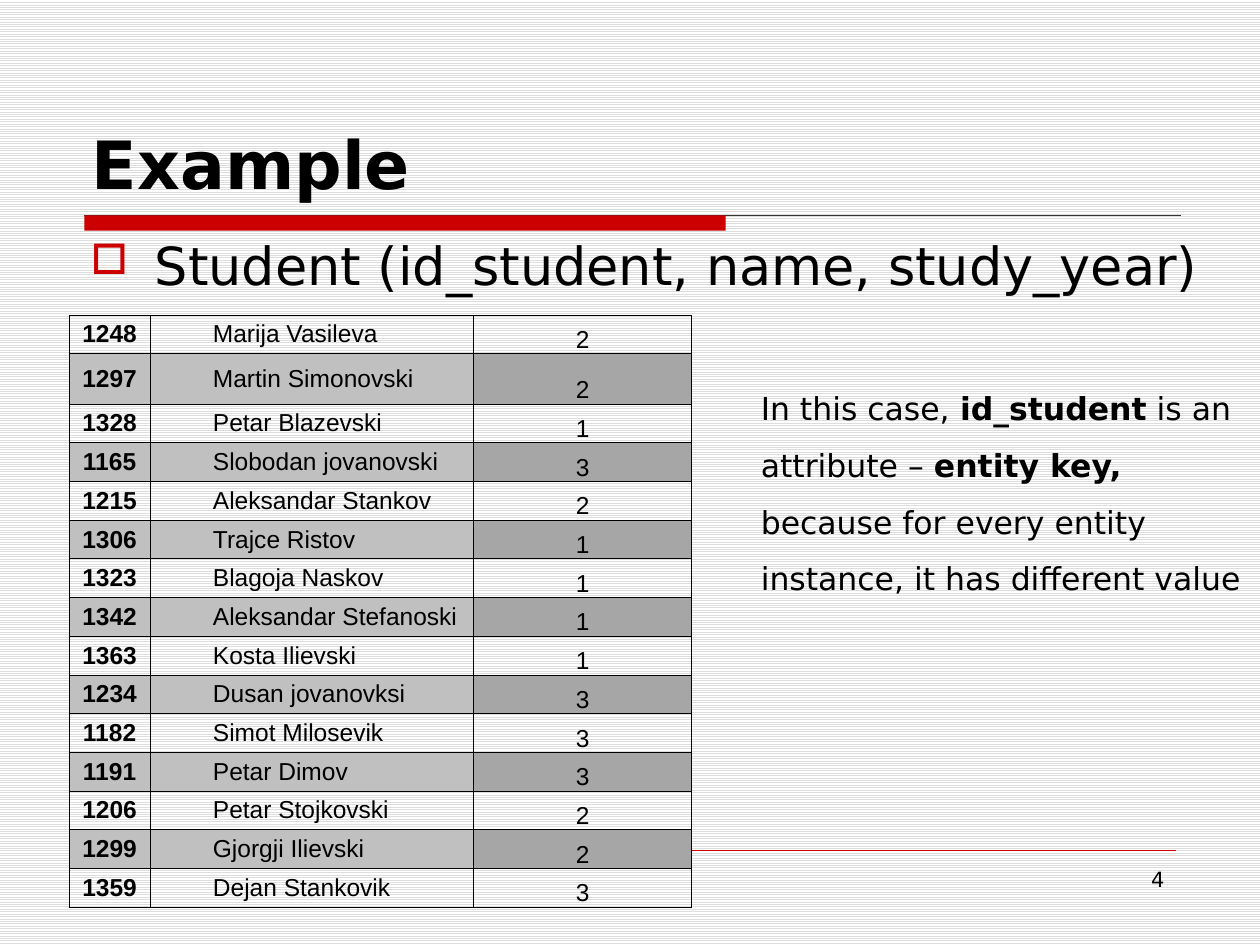
from dataclasses import dataclass

import lxml.etree
import pptx
import pptx.dml.color
import pptx.enum.dml
import pptx.enum.shapes
import pptx.enum.text
import pptx.oxml.ns
import pptx.util

Inches = pptx.util.Inches
Pt = pptx.util.Pt
ALIGN = pptx.enum.text.PP_ALIGN
ANCHOR = pptx.enum.text.MSO_ANCHOR


@dataclass(frozen=True)
class Theme:
    text: str = "000000"
    accent: str = "CC0000"
    thin_rule: str = "333333"
    paper: str = "FFFFFF"
    stripe: str = "DDDDDD"
    band: str = "C0C0C0"
    band_dark: str = "A6A6A6"
    font: str = "DejaVu Sans"
    table_font: str = "Arial"
    title_size: int = 38
    body_size: int = 30
    note_size: int = 18
    table_size: int = 14
    number_size: int = 12


def rgb(value):
    return pptx.dml.color.RGBColor.from_string(value)


def add_xml(parent, tag, **attributes):
    return lxml.etree.SubElement(parent, pptx.oxml.ns.qn(tag), attributes)


def write(para, text, *, font, size, color, bold=False, align=ALIGN.LEFT):
    """Add one formatted span of text to a paragraph."""
    para.alignment = align
    span = para.add_run()
    span.text = text
    span.font.name = font
    span.font.size = Pt(size)
    span.font.bold = bold
    span.font.color.rgb = rgb(color)


class SlideBuilder:
    def __init__(self, deck, theme):
        self.theme = theme
        self.slide = deck.slides.add_slide(deck.slide_layouts[5])
        fill = self.slide.background.fill
        fill.patterned()
        fill.pattern = pptx.enum.dml.MSO_PATTERN.LIGHT_HORIZONTAL
        fill.fore_color.rgb = rgb(theme.stripe)
        fill.back_color.rgb = rgb(theme.paper)

    def title(self, text, place):
        box = self.slide.shapes.title
        box.left, box.top, box.width, box.height = map(Inches, place)
        box.text_frame.vertical_anchor = ANCHOR.BOTTOM
        write(box.text_frame.paragraphs[0], text, font=self.theme.font,
              size=self.theme.title_size, color=self.theme.text, bold=True)

    def bar(self, place, color):
        shape = self.slide.shapes.add_shape(
            pptx.enum.shapes.MSO_SHAPE.RECTANGLE, *map(Inches, place))
        shape.shadow.inherit = False
        shape.fill.solid()
        shape.fill.fore_color.rgb = rgb(color)
        shape.line.fill.background()

    def rule(self, left, right, top, color, width):
        line = self.slide.shapes.add_connector(
            pptx.enum.shapes.MSO_CONNECTOR.STRAIGHT,
            Inches(left), Inches(top), Inches(right), Inches(top))
        line.line.color.rgb = rgb(color)
        line.line.width = Pt(width)
        add_xml(line._element.spPr, "a:effectLst")

    def text(self, spans, place, size, align=ALIGN.LEFT):
        """Add a text box of (text, bold) spans and return its paragraph."""
        box = self.slide.shapes.add_textbox(*map(Inches, place))
        box.text_frame.word_wrap = True
        para = box.text_frame.paragraphs[0]
        for text, bold in spans:
            write(para, text, font=self.theme.font, size=size,
                  color=self.theme.text, bold=bold, align=align)
        return para

    def bullet(self, text, place):
        para = self.text([(text, False)], place, self.theme.body_size)
        properties = para._p.get_or_add_pPr()
        properties.set("marL", str(Inches(0.51)))
        properties.set("indent", str(Inches(-0.51)))
        color = add_xml(properties, "a:buClr")
        add_xml(color, "a:srgbClr", val=self.theme.accent)
        add_xml(properties, "a:buSzPct", val="80000")
        add_xml(properties, "a:buChar", char="□")

    def cell_borders(self, cell):
        properties = cell._tc.get_or_add_tcPr()
        for side in ("a:lnL", "a:lnR", "a:lnT", "a:lnB"):
            line = add_xml(properties, side, w=str(Pt(0.5)))
            add_xml(add_xml(line, "a:solidFill"), "a:srgbClr", val=self.theme.text)

    def table(self, records, place, widths, heights):
        table = self.slide.shapes.add_table(
            len(records), len(widths), *map(Inches, place)).table
        table.first_row = table.horz_banding = False
        for column, width in zip(table.columns, widths):
            column.width = Inches(width)
        for row, height in zip(table.rows, heights):
            row.height = Inches(height)

        # One entry per column: bold, alignment, anchor, indent, band colour
        theme = self.theme
        styles = [
            (True, ALIGN.CENTER, ANCHOR.MIDDLE, 0, theme.band),
            (False, ALIGN.LEFT, ANCHOR.MIDDLE, 0.5, theme.band),
            (False, ALIGN.CENTER, ANCHOR.BOTTOM, 0, theme.band_dark),
        ]
        for i, record in enumerate(records):
            for j, (bold, align, anchor, indent, band) in enumerate(styles):
                cell = table.cell(i, j)
                cell.margin_left = cell.margin_right = 0
                cell.margin_top = cell.margin_bottom = 0
                cell.vertical_anchor = anchor
                self.cell_borders(cell)
                if i % 2:
                    cell.fill.solid()
                    cell.fill.fore_color.rgb = rgb(band)
                else:
                    cell.fill.background()
                para = cell.text_frame.paragraphs[0]
                para._p.get_or_add_pPr().set("marL", str(Inches(indent)))
                write(para, str(record[j]), font=theme.table_font,
                      size=theme.table_size, color=theme.text,
                      bold=bold, align=align)


STUDENTS = [
    (1248, "Marija Vasileva", 2),
    (1297, "Martin Simonovski", 2),
    (1328, "Petar Blazevski", 1),
    (1165, "Slobodan jovanovski", 3),
    (1215, "Aleksandar Stankov", 2),
    (1306, "Trajce Ristov", 1),
    (1323, "Blagoja Naskov", 1),
    (1342, "Aleksandar Stefanoski", 1),
    (1363, "Kosta Ilievski", 1),
    (1234, "Dusan jovanovksi", 3),
    (1182, "Simot Milosevik", 3),
    (1191, "Petar Dimov", 3),
    (1206, "Petar Stojkovski", 2),
    (1299, "Gjorgji Ilievski", 2),
    (1359, "Dejan Stankovik", 3),
]


def main():
    deck = pptx.Presentation()
    deck.slide_width, deck.slide_height = Inches(10), Inches(7.5)
    theme = Theme()
    page = SlideBuilder(deck, theme)

    # Heading with its rule, and the footer rule
    page.rule(0.67, 9.37, 1.71, theme.thin_rule, 0.75)
    page.bar((0.67, 1.71, 5.09, 0.12), theme.accent)
    page.rule(0.67, 9.33, 6.75, theme.accent, 0.25)
    page.title("Example", (0.63, 0.33, 8.75, 1.33))

    # Entity definition and page number
    page.bullet("Student (id_student, name, study_year)", (0.62, 1.8, 9.38, 4.67))
    page.text([("4", False)], (7.17, 6.83, 2.17, 0.52), theme.number_size, ALIGN.RIGHT)

    # Student records: equal rows, apart from a taller second one
    height, tall = 4.7, 0.4
    heights = [(height - tall) / (len(STUDENTS) - 1)] * len(STUDENTS)
    heights[1] = tall
    page.table(STUDENTS, (0.55, 2.5, 4.94, height), (0.64, 2.57, 1.73), heights)

    # Explanation beside the table
    note = page.text([
        ("In this case, ", False),
        ("id_student", True),
        (" is an attribute – ", False),
        ("entity key, ", True),
        ("because for every entity instance, it has different value", False),
    ], (5.94, 2.89, 4.06, 1.92), theme.note_size)
    note.line_spacing = 1.5
    note.space_after = Pt(6)

    deck.save("out.pptx")


if __name__ == "__main__":
    main()
